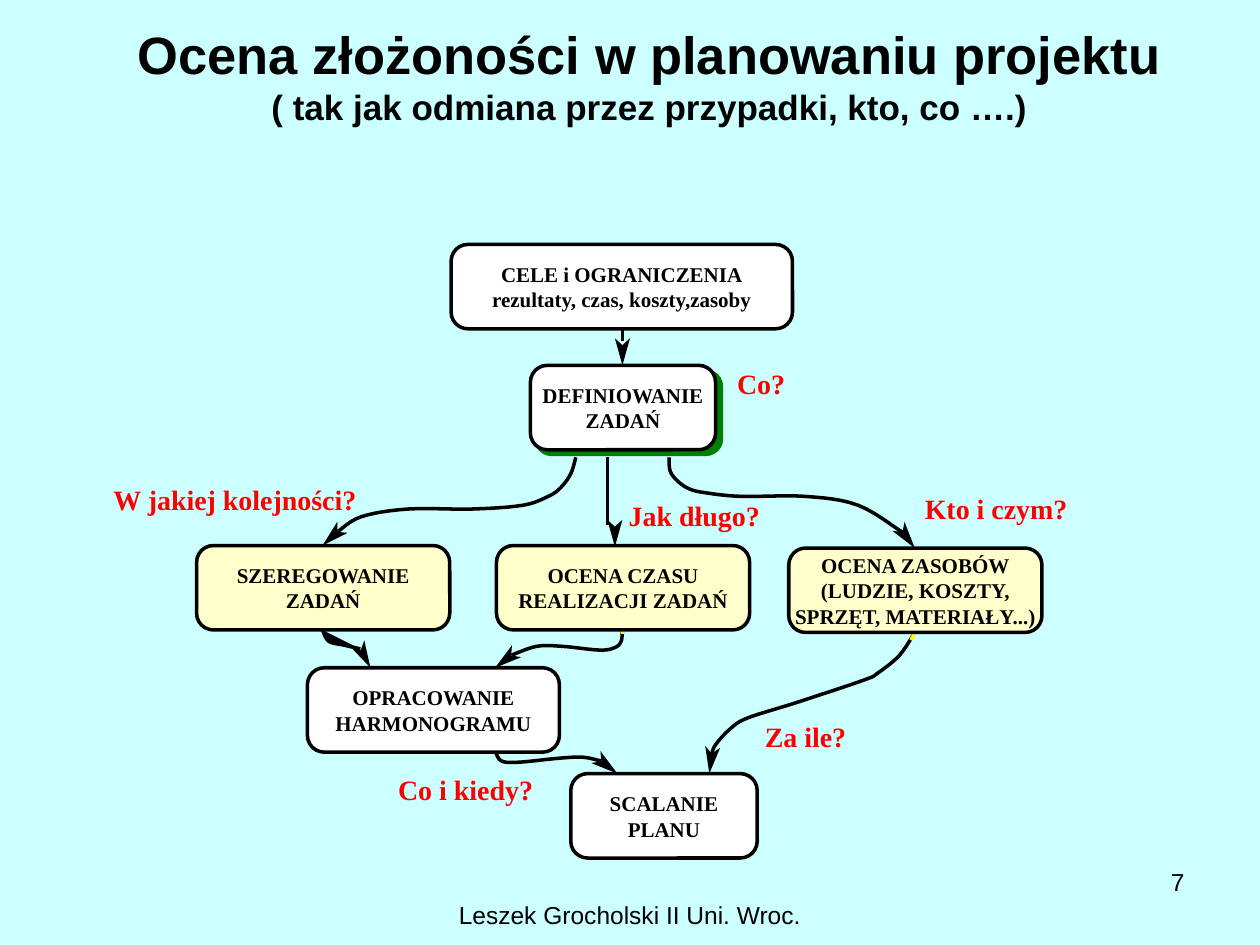
import math
from dataclasses import dataclass
from itertools import pairwise

from pptx import Presentation
from pptx import util as u
from pptx.dml.color import RGBColor
from pptx.enum import shapes, text
from pptx.oxml import ns
from lxml import etree

COLUMNS, ROWS = 100, 75
PAGE_WIDTH, PAGE_HEIGHT = u.Inches(10), u.Inches(7.5)


@dataclass(frozen=True)
class Theme:
    page: str = "CCFFFF"
    ink: str = "000000"
    plain: str = "FFFFFF"
    estimate: str = "FFFFCC"
    shade: str = "007F00"
    question: str = "FF0000"
    stub: str = "FFFF00"
    sans: str = "Arial"
    serif: str = "Times New Roman"
    title_size: int = 30
    subtitle_size: int = 20
    question_size: int = 16
    footer_size: int = 14
    node_size: int = 12
    node_leading: float = 14.5
    line: int = 2


THEME = Theme()


@dataclass(frozen=True)
class Box:
    left: float
    top: float
    width: float
    height: float

    def inside(self, left, top, width, height):
        return Box(self.left + left, self.top + top, width, height)

    def point(self, column, row):
        return emu(self.left + column, self.top + row)

    def frame(self):
        return *emu(self.left, self.top), *emu(self.width, self.height)


NODE_HEIGHT = 6.7
NODES = [
    (30.8, 4.4, 27.1, THEME.plain, ["CELE i OGRANICZENIA", "rezultaty, czas, koszty,zasoby"]),
    (37.1, 14, 14.7, THEME.plain, ["DEFINIOWANIE", "ZADAŃ"]),
    (10.6, 28.3, 20.1, THEME.estimate, ["SZEREGOWANIE", "ZADAŃ"]),
    (34.4, 28.3, 20.1, THEME.estimate, ["OCENA CZASU", "REALIZACJI ZADAŃ"]),
    (57.6, 28.5, 20.1, THEME.estimate,
     ["OCENA ZASOBÓW", "(LUDZIE, KOSZTY,", "SPRZĘT, MATERIAŁY...)"]),
    (19.4, 38, 20, THEME.plain, ["OPRACOWANIE", "HARMONOGRAMU"]),
    (40.3, 46.4, 14.8, THEME.plain, ["SCALANIE", "PLANU"]),
]
QUESTIONS = [
    (53.5, 14.1, 4.6, "Co?"),
    (44.9, 24.6, 11.4, "Jak długo?"),
    (68.4, 24, 12.3, "Kto i czym?"),
    (55.7, 42.1, 7.4, "Za ile?"),
    (26.6, 46.3, 11.7, "Co i kiedy?"),
    (4, 23.3, 21.2, "W jakiej kolejności?"),
]
STRAIGHT_ARROWS = [
    ((44.4, 10.7), (44.4, 12.1), (44.4, 12.3), (44.4, 14)),
    ((43.2, 21.3), (43.2, 26.7), (43.8, 26.8), (43.8, 28.4)),
]
CURVED_ARROWS = [
    ([(40.7, 21.3), (40.3, 22.6), (39.5, 23.7), (38.5, 24.4), (36.5, 25.1), (32.5, 25.4),
      (27.4, 25.4), (23.7, 26), (21.8, 27.2)], (20.6, 28.3), None),
    ([(48.1, 21.3), (48.2, 22.4), (48.8, 23.2), (49.7, 23.8), (50.9, 24.1), (53.8, 24.4),
      (58.9, 24.4), (63.1, 25.1), (66.7, 27.3)], (67.6, 28.5), None),
    ([(20.6, 35), (21.1, 35.9), (22.3, 36.2), (23.6, 36.5)], (24.4, 38), THEME.ink),
    ([(44.4, 35), (44.3, 35.9), (43.8, 36.4), (42.6, 36.6), (39.6, 36.3), (37.6, 36.3),
      (35.6, 37)], (34.3, 38), None),
    ([(67.6, 35.2), (66.4, 37), (64.7, 38.4), (63.5, 39), (58.1, 40.8), (54.3, 42),
      (52.9, 42.9), (51.8, 44.1), (51.5, 44.8)], (51.3, 46.4), None),
    ([(34.3, 44.6), (34.8, 45.4), (36.2, 45.5), (39.2, 45.2), (41.2, 45.1),
      (42.7, 45.4)], (44, 46.4), None),
]
STUBS = [((44.4, 35), (44.4, 35.3)), ((67.6, 35.2), (67.3, 35.8))]


def emu(column, row):
    return round(column * PAGE_WIDTH / COLUMNS), round(row * PAGE_HEIGHT / ROWS)


def color(value):
    return RGBColor.from_string(value)


def style(shape, fill=None, line=None):
    shape.shadow.inherit = False
    if fill:
        shape.fill.solid()
        shape.fill.fore_color.rgb = color(fill)
    else:
        shape.fill.background()
    if line:
        shape.line.color.rgb = color(line)
        shape.line.width = u.Pt(THEME.line)
    else:
        shape.line.fill.background()


def set_font(font, size, name, ink=THEME.ink, bold=False):
    font.size, font.name, font.bold = u.Pt(size), name, bold
    font.color.rgb = color(ink)


def clear_insets(frame):
    frame.margin_left = frame.margin_right = 0
    frame.margin_top = frame.margin_bottom = 0


def add_text(page, box, words, align, *font, bold=False):
    frame = page.shapes.add_textbox(*box.frame()).text_frame
    frame.word_wrap = True
    para = frame.paragraphs[0]
    para.text, para.alignment = words, align
    set_font(para.font, *font, bold=bold)
    return frame


def add_round_box(page, box, fill, line=None):
    shape = page.shapes.add_shape(shapes.MSO_SHAPE.ROUNDED_RECTANGLE, *box.frame())
    shape.adjustments[0] = 0.2
    style(shape, fill, line)
    return shape


def add_node(page, box, fill, lines):
    frame = add_round_box(page, box, fill, THEME.ink).text_frame
    clear_insets(frame)
    frame.word_wrap = False
    frame.vertical_anchor = text.MSO_ANCHOR.MIDDLE
    frame.text = "\n".join(lines)
    for para in frame.paragraphs:
        para.alignment = text.PP_ALIGN.CENTER
        para.line_spacing = u.Pt(THEME.node_leading)
        set_font(para.font, THEME.node_size, THEME.serif, bold=True)


def add_outline(page, box, points, fill=None, line=None, close=False):
    start, *rest = [box.point(*point) for point in points]
    builder = page.shapes.build_freeform(*start)
    builder.add_line_segments(rest, close=close)
    style(builder.convert_to_shape(), fill, line)


def add_line(page, box, start, end, ink):
    line = page.shapes.add_connector(
        shapes.MSO_CONNECTOR.STRAIGHT, *box.point(*start), *box.point(*end))
    line.line.color.rgb = color(ink)
    line.line.width = u.Pt(THEME.line)
    etree.SubElement(line._element.spPr, ns.qn("a:effectLst"))


def add_head(page, box, neck, tip, length=2.15, half=0.6, notch=1.6):
    angle = math.atan2(tip[1] - neck[1], tip[0] - neck[0])
    cos, sin = math.cos(angle), math.sin(angle)
    corners = [(0, 0), (-length, half), (-notch, 0), (-length, -half)]
    points = [(tip[0] + x * cos - y * sin, tip[1] + x * sin + y * cos) for x, y in corners]
    add_outline(page, box, points, fill=THEME.ink, close=True)


def smooth_path(anchors, steps=6):
    padded = [anchors[0], *anchors, anchors[-1]]
    points = [anchors[0]]
    for index, (start, end) in enumerate(pairwise(anchors)):
        before, after = padded[index], padded[index + 3]
        for t in (step / steps for step in range(1, steps + 1)):
            points.append(tuple(
                b + t * (c - a + t * (2 * a - 5 * b + 4 * c - d + t * (3 * b - a - 3 * c + d))) / 2
                for a, b, c, d in zip(before, start, end, after)))
    return points


def add_diagram(page, box):
    for anchors, tip, fill in CURVED_ARROWS:
        add_outline(page, box, smooth_path(anchors), fill, THEME.ink)
        add_head(page, box, anchors[-1], tip)
    for start, end, neck, tip in STRAIGHT_ARROWS:
        add_line(page, box, start, end, THEME.ink)
        add_head(page, box, neck, tip)
    for start, end in STUBS:
        add_line(page, box, start, end, THEME.stub)
    add_round_box(page, box.inside(37.4, 14.3, 15, 6.9), THEME.shade)
    for left, top, width, fill, lines in NODES:
        add_node(page, box.inside(left, top, width, NODE_HEIGHT), fill, lines)
    for left, top, width, words in QUESTIONS:
        clear_insets(add_text(
            page, box.inside(left, top, width, 2.7), words, text.PP_ALIGN.LEFT,
            THEME.question_size, THEME.serif, THEME.question, bold=True))


def add_title(page, box):
    frame = add_text(page, box, "Ocena złożoności w planowaniu projektu", text.PP_ALIGN.CENTER,
                     THEME.title_size, THEME.sans, bold=True)
    frame.vertical_anchor = text.MSO_ANCHOR.MIDDLE
    para = frame.paragraphs[0]
    para.add_line_break()
    span = para.add_run()
    span.text = "( tak jak odmiana przez przypadki, kto, co ….)"
    span.font.size = u.Pt(THEME.subtitle_size)


def add_footer(page, box):
    for cell, words, align in [
        ((34.2, 2.6, 31.6, 4.1), "Leszek Grocholski II Uni. Wroc.", text.PP_ALIGN.CENTER),
        ((71.7, 0, 23.3, 5.2), "7", text.PP_ALIGN.RIGHT),
    ]:
        add_text(page, box.inside(*cell), words, align, THEME.footer_size, THEME.sans)


def main():
    deck = Presentation()
    deck.slide_width, deck.slide_height = PAGE_WIDTH, PAGE_HEIGHT
    page = deck.slides.add_slide(deck.slide_layouts[6])
    page.background.fill.solid()
    page.background.fill.fore_color.rgb = color(THEME.page)
    add_footer(page, Box(0, 68.3, COLUMNS, 6.7))
    add_title(page, Box(5.1, 1, 92.9, 9.9))
    add_diagram(page, Box(5, 15, 85, 55))
    deck.save("out.pptx")


if __name__ == "__main__":
    main()
